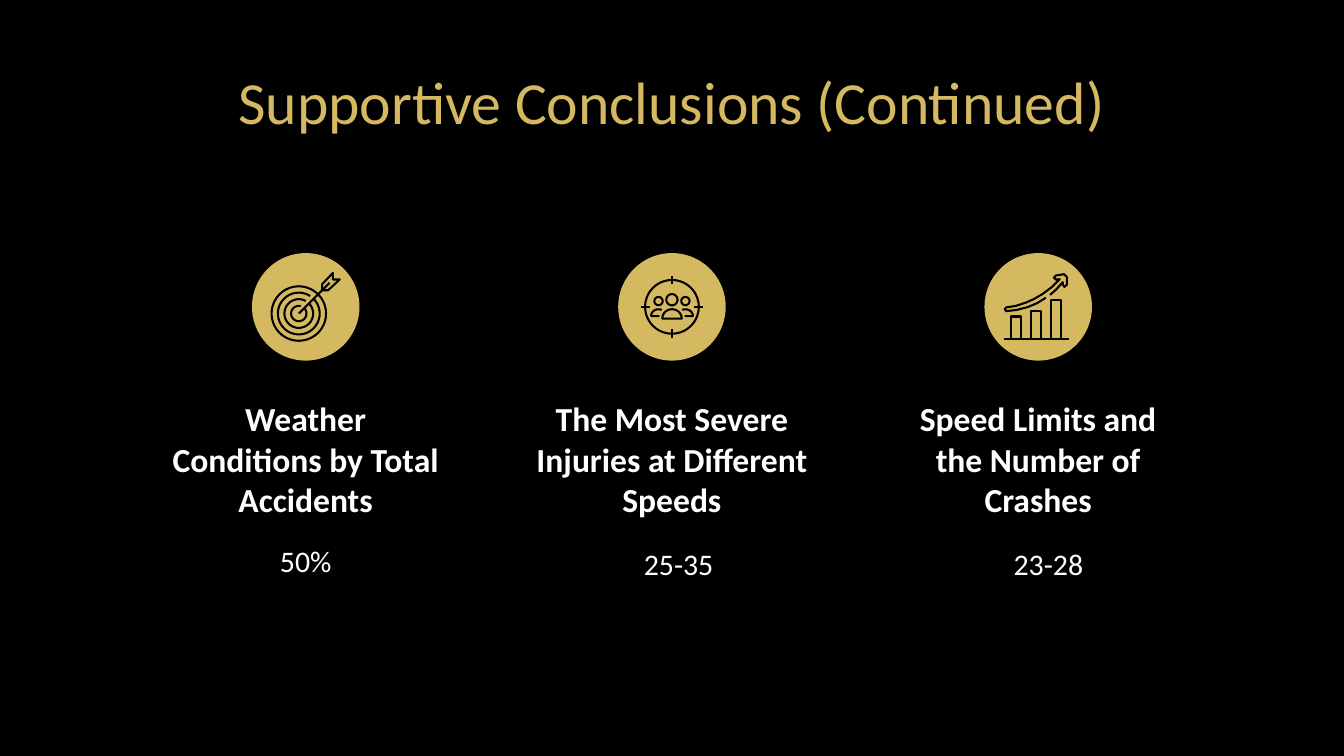
from math import cos, radians, sin

from pptx import Presentation
from pptx.dml.color import RGBColor
from pptx.enum.shapes import MSO_SHAPE
from pptx.enum.text import MSO_ANCHOR, PP_ALIGN
from pptx.util import Pt

OVAL = MSO_SHAPE.OVAL
CENTER = PP_ALIGN.CENTER
TOP, BOTTOM = MSO_ANCHOR.TOP, MSO_ANCHOR.BOTTOM
BLACK = RGBColor(0x00, 0x00, 0x00)
WHITE = RGBColor(0xFF, 0xFF, 0xFF)
GOLD = RGBColor(0xD5, 0xB9, 0x61)
FONT = "Calibri"
MIDDLE_X, PITCH, ICON_Y = 360, 196.2, 164.4
DISC, STROKE = 57.6, 1.1
COLUMN_W, COLUMN_H = 161.3, 68.4

FEATHER = [(8.8, -8.9), (8.8, -12.1), (14.6, -18.2), (14.6, -14.6),
           (18.2, -14.6), (12, -8.9), (8.8, -8.9)]
GROWTH_ARROW = [
    (6.3, -6.4), (9.5, -9.2), (13.1, -13.2), (13.2, -11.8), (14, -10.7),
    (15.3, -11.8), (15.3, -16.1), (13.8, -17.5), (9.5, -16.8), (8.4, -15.6),
    (9.5, -14.6), (11.5, -14.8), (7.4, -10.7), (2.3, -6.9), (-1.9, -4.4),
    (-6.3, -2.4), (-12.1, -0.5), (-17.1, 0.3), (-18, 1.2), (-17.1, 2.3),
    (-11.4, 1.6), (-5.6, 0.1), (-0.6, -2), (4.1, -4.9)]


def add_text(s, text, x, y, w, h, size=16, color=WHITE, bold=False, anchor=TOP):
    tf = s.shapes.add_textbox(Pt(x), Pt(y), Pt(w), Pt(h)).text_frame
    tf.word_wrap = True
    tf.vertical_anchor = anchor
    tf.margin_left = tf.margin_right = tf.margin_top = tf.margin_bottom = Pt(7.2)
    p = tf.paragraphs[0]
    p.alignment = CENTER
    r = p.add_run()
    r.text = text
    r.font.name, r.font.size, r.font.bold = FONT, Pt(size), bold
    r.font.color.rgb = color


def add_disc(s, cx):
    sp = s.shapes.add_shape(OVAL, Pt(cx - DISC / 2), Pt(ICON_Y - DISC / 2),
                            Pt(DISC), Pt(DISC))
    sp.shadow.inherit = False
    sp.fill.solid()
    sp.fill.fore_color.rgb = GOLD
    sp.line.fill.background()


def add_outline(s, cx, *contours):
    builder = None
    for contour in contours:
        pts = [(Pt(cx + x), Pt(ICON_Y + y)) for x, y in contour]
        if builder is None:
            builder = s.shapes.build_freeform(*pts[0])
        else:
            builder.move_to(*pts[0])
        builder.add_line_segments(pts[1:], close=contour[0] == contour[-1])
    sp = builder.convert_to_shape()
    sp.shadow.inherit = False
    sp.fill.background()
    sp.line.color.rgb = BLACK
    sp.line.width = Pt(STROKE)


def arc(x, y, rx, ry, start=0, sweep=360, steps=40):
    angles = [radians(start + sweep * i / steps) for i in range(steps + 1)]
    return [(x + rx * cos(a), y - ry * sin(a)) for a in angles]


def add_target(s, cx):
    x, y = -3.7, 3.6
    rings = [arc(x, y, radius, radius, 45 + gap, 360 - gap)
             for radius, gap in ((14.6, 0), (11.2, 12), (7.7, 16), (4.1, 30))]
    add_outline(s, cx, *rings, [(x, y), (12.8, -12.9)], FEATHER)


def add_audience(s, cx):
    ticks = [[(12 * dx, 12 * dy), (16.6 * dx, 16.6 * dy)]
             for dx, dy in ((1, 0), (-1, 0), (0, 1), (0, -1))]
    add_outline(s, cx, arc(0, 0, 14.4, 14.4), *ticks)
    add_outline(s, cx, arc(0, -3.8, 3, 3))
    body = arc(0, 6.3, 5.2, 5, 0, 180)
    add_outline(s, cx, body + body[:1])
    for side in (-1, 1):
        add_outline(s, cx, arc(7.2 * side, -3.1, 2.2, 2.2))
        shoulder = arc(7.2 * side, 4.9, 4 * side, 3.6, 0, 115)
        add_outline(s, cx, [(6.8 * side, 4.9)] + shoulder)


def add_growth(s, cx):
    base = 17.4
    bars = []
    for i, top in enumerate((5.2, 2.3, -3.8)):
        left = -14.6 + 10.8 * i
        right = left + 5.4
        bars.append([(left, base), (left, top), (right, top), (right, base)])
    add_outline(s, cx, [(-18.5, base), (16.5, base)], *bars)
    add_outline(s, cx, GROWTH_ARROW)


def main():
    prs = Presentation()
    prs.slide_width, prs.slide_height = Pt(720), Pt(405)
    s = prs.slides.add_slide(prs.slide_layouts[6])
    s.background.fill.solid()
    s.background.fill.fore_color.rgb = BLACK

    columns = [
        ("Weather Conditions by Total Accidents", "50%", 0, 283.7, add_target),
        ("The Most Severe Injuries at Different Speeds", "25-35", 3.6, 285.1,
         add_audience),
        ("Speed Limits and the Number of Crashes", "23-28", 5.5, 285.1, add_growth),
    ]
    for i, (heading, value, shift, value_y, add_icon) in enumerate(columns):
        cx = MIDDLE_X + (i - 1) * PITCH
        left = cx - COLUMN_W / 2
        add_text(s, heading, left, 216.9, COLUMN_W, COLUMN_H,
                 size=18, bold=True, anchor=BOTTOM)
        add_text(s, value, left + shift, value_y, COLUMN_W, COLUMN_H)
        add_disc(s, cx)
        add_icon(s, cx)

    add_text(s, "Supportive Conclusions (Continued)", 115.5, 39.9, 488.9, 40.3,
             size=32, color=GOLD, anchor=BOTTOM)
    prs.save("out.pptx")


if __name__ == "__main__":
    main()
